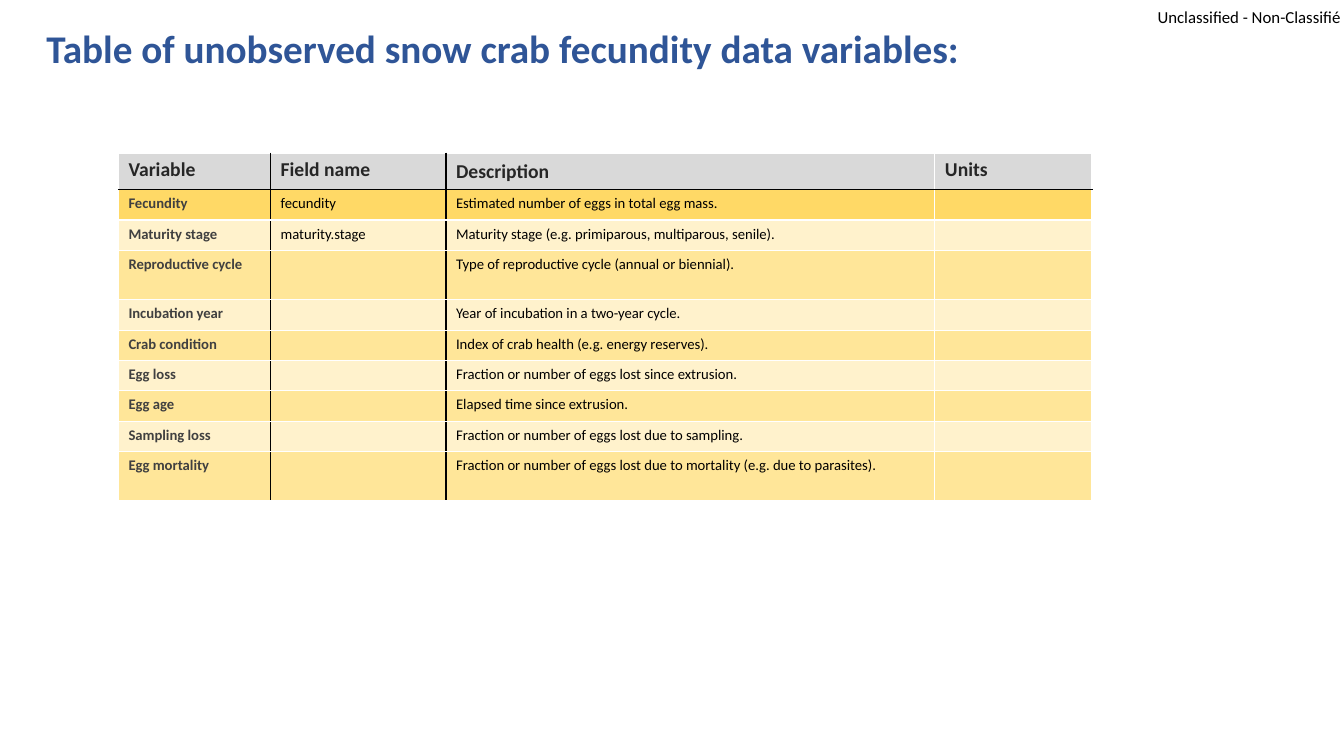
"""Build the slide that tabulates the unobserved snow crab fecundity variables."""
from dataclasses import dataclass

from lxml import etree
from pptx import Presentation
from pptx import util as u
from pptx.dml.color import RGBColor
from pptx.enum import text
from pptx.oxml.ns import qn

COLORS = {
    "title": "2F5597", "header_text": "262626", "name_text": "404040",
    "black": "000000", "white": "FFFFFF", "header": "D9D9D9",
    "gold": "FFD966", "dark": "FFE699", "light": "FFF2CC",
}
FONT = "Calibri"
HEADER_SIZE, BODY_SIZE = 14, 10.5
COLUMN_WIDTHS = (108.7, 125.3, 349.2, 112.3)
HEADER_HEIGHT, ROW_HEIGHT, TALL_HEIGHT = 26, 21.7, 35.3


@dataclass
class Variable:
    """A table row: one variable of the fecundity data."""

    name: str
    field: str
    description: str
    height: float = ROW_HEIGHT
    units: str = ""


HEADER = Variable("Variable", "Field name", "Description", HEADER_HEIGHT, "Units")
VARIABLES = [
    Variable("Fecundity", "fecundity", "Estimated number of eggs in total egg mass."),
    Variable("Maturity stage", "maturity.stage",
             "Maturity stage (e.g. primiparous, multiparous, senile)."),
    Variable("Reproductive cycle", "",
             "Type of reproductive cycle (annual or biennial).", TALL_HEIGHT),
    Variable("Incubation year", "", "Year of incubation in a two-year cycle."),
    Variable("Crab condition", "", "Index of crab health (e.g. energy reserves)."),
    Variable("Egg loss", "", "Fraction or number of eggs lost since extrusion."),
    Variable("Egg age", "", "Elapsed time since extrusion."),
    Variable("Sampling loss", "", "Fraction or number of eggs lost due to sampling."),
    Variable("Egg mortality", "",
             "Fraction or number of eggs lost due to mortality (e.g. due to parasites).",
             TALL_HEIGHT),
]


def write(tf, content: str, *, size: float, color: str = "black", bold: bool = False,
          align=text.PP_ALIGN.LEFT) -> None:
    """Write one formatted paragraph, keeping the size where it is empty."""
    p = tf.paragraphs[0]
    p.alignment = align
    if not content:
        end = etree.SubElement(p._p, qn("a:endParaRPr"))
        end.set("sz", str(int(size * 100)))
        return
    r = p.add_run()
    r.text = content
    r.font.name, r.font.size, r.font.bold = FONT, u.Pt(size), bold
    r.font.color.rgb = RGBColor.from_string(COLORS[color])


def set_borders(cell, **edges: str) -> None:
    """Give the cell a one-point line on each named edge."""
    tc_pr = cell._tc.get_or_add_tcPr()
    for edge, color in edges.items():
        ln = etree.SubElement(tc_pr, qn(f"a:ln{edge}"), w=str(u.Pt(1)))
        fill = etree.SubElement(ln, qn("a:solidFill"))
        etree.SubElement(fill, qn("a:srgbClr"), val=COLORS[color])


def fill_row(table, i: int, row: Variable) -> None:
    """Write, fill and border the cells of one table row."""
    table.rows[i].height = u.Pt(row.height)
    band = {0: "header", 1: "gold"}.get(i, "dark" if i % 2 else "light")
    for j, content in enumerate((row.name, row.field, row.description, row.units)):
        cell = table.cell(i, j)
        set_borders(cell,
                    L="black" if j in (1, 2) else "white",
                    R="black" if j in (0, 1) else "white",
                    T="black" if i == 1 else "white",
                    B="black" if i == 0 else "white")
        cell.fill.solid()
        cell.fill.fore_color.rgb = RGBColor.from_string(COLORS[band])
        if i == 0:
            write(cell.text_frame, content, size=HEADER_SIZE, color="header_text", bold=True)
        else:
            write(cell.text_frame, content, size=BODY_SIZE,
                  color="black" if j else "name_text", bold=j == 0)


def add_variable_table(s) -> None:
    """Add the table of variables."""
    rows = [HEADER, *VARIABLES]
    table = s.shapes.add_table(
        len(rows), len(COLUMN_WIDTHS), u.Pt(84.6), u.Pt(109.5),
        u.Pt(sum(COLUMN_WIDTHS)), u.Pt(sum(row.height for row in rows))).table
    for column, width in zip(table.columns, COLUMN_WIDTHS):
        column.width = u.Pt(width)
    for i, row in enumerate(rows):
        fill_row(table, i, row)
    description = table.cell(0, 2)
    description.vertical_anchor = text.MSO_ANCHOR.MIDDLE
    description.margin_top = description.margin_bottom = 0


def add_classification(s) -> None:
    """Add the classification mark in the top right corner."""
    tf = s.shapes.add_textbox(u.Pt(823.7), u.Pt(5), u.Pt(134), u.Pt(14.6)).text_frame
    tf.margin_left = tf.margin_top = tf.margin_right = tf.margin_bottom = 0
    tf.word_wrap = False
    write(tf, "Unclassified - Non-Classifié", size=12, align=text.PP_ALIGN.RIGHT)


def set_title(s) -> None:
    """Place and write the slide title."""
    sp = s.shapes.title
    sp.left, sp.top, sp.width, sp.height = u.Pt(26), u.Pt(13.7), u.Pt(753), u.Pt(41.2)
    tf = sp.text_frame
    tf.word_wrap = True
    tf.auto_size = text.MSO_AUTO_SIZE.SHAPE_TO_FIT_TEXT
    tf.vertical_anchor = text.MSO_ANCHOR.TOP
    write(tf, "Table of unobserved snow crab fecundity data variables:",
          size=28, color="title", bold=True)


def main() -> None:
    """Build and save the presentation."""
    prs = Presentation()
    prs.slide_width, prs.slide_height = u.Pt(960), u.Pt(540)
    s = prs.slides.add_slide(prs.slide_layouts[5])
    add_classification(s)
    add_variable_table(s)
    set_title(s)
    prs.save("out.pptx")


if __name__ == "__main__":
    main()
